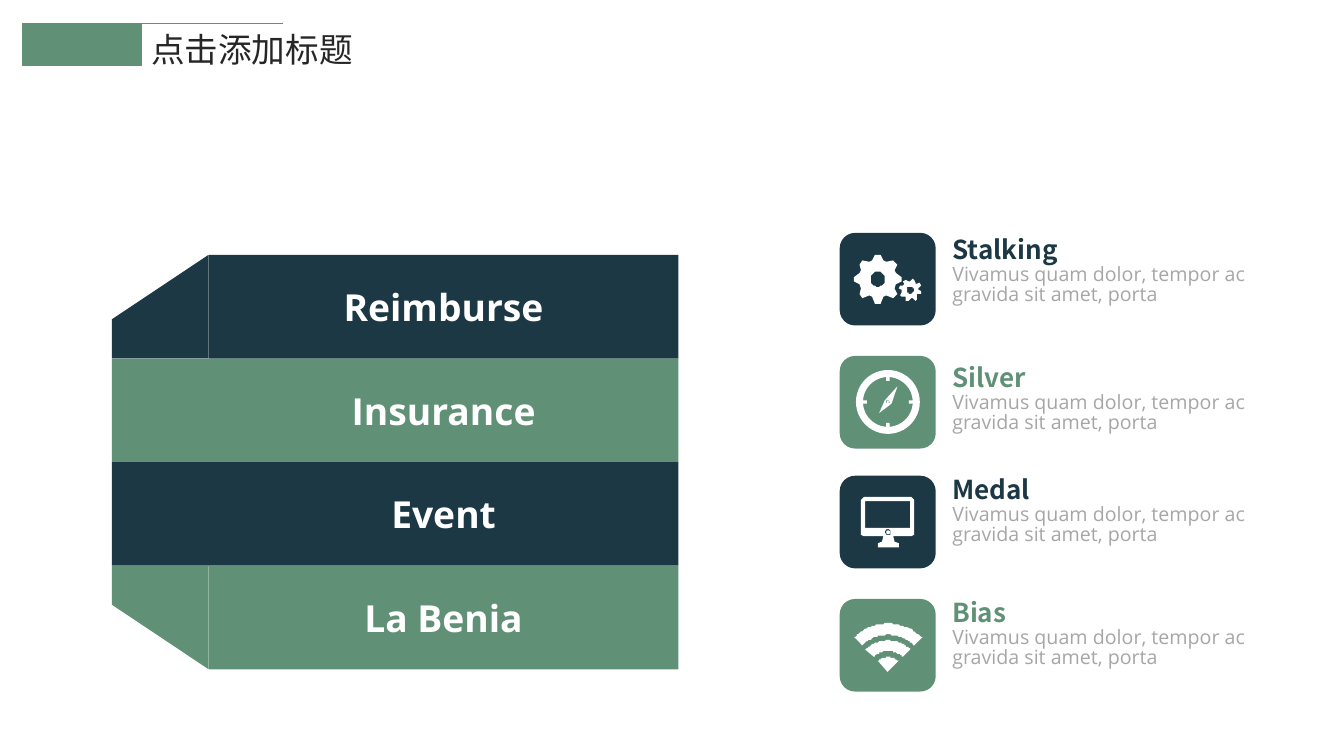
from math import cos, radians, sin

from lxml import etree
from pptx import Presentation
from pptx.dml.color import RGBColor
from pptx.enum.shapes import MSO_CONNECTOR, MSO_SHAPE as SHAPE
from pptx.enum.text import MSO_ANCHOR, PP_ALIGN
from pptx.oxml.ns import qn
from pptx.util import Pt

NAVY = RGBColor(0x1C, 0x38, 0x44)
GREEN = RGBColor(0x60, 0x91, 0x77)
GREY = RGBColor(0xA6, 0xA6, 0xA6)
DARK = RGBColor(0x26, 0x26, 0x26)
WHITE = RGBColor(0xFF, 0xFF, 0xFF)
HEAD_FONT, BODY_FONT = "Noto Sans CJK SC", "Open Sans"

deck = Presentation()
deck.slide_width, deck.slide_height = Pt(960), Pt(540)
slide = deck.slides.add_slide(deck.slide_layouts[6])
shapes = slide.shapes


def arc(x, y, radius, start=0, end=360, steps=48):
    """Points along an arc, angles in degrees clockwise from the right."""
    angles = [radians(start + (end - start) * i / steps) for i in range(steps + 1)]
    return [(x + radius * cos(a), y + radius * sin(a)) for a in angles]


def paint(shape, color):
    shape.shadow.inherit = False
    shape.fill.solid()
    shape.fill.fore_color.rgb = color
    shape.line.fill.background()
    return shape


# Title
title_bar = paint(shapes.add_shape(SHAPE.RECTANGLE, Pt(16.2), Pt(17), Pt(85), Pt(30)), GREEN)
title_bar.line.color.rgb = GREEN
title_bar.line.width = Pt(1)
title_rule = shapes.add_connector(MSO_CONNECTOR.STRAIGHT, Pt(16), Pt(17), Pt(202.3), Pt(17))
title_rule.line.color.rgb = GREEN
title_rule.line.width = Pt(0.5)
etree.SubElement(title_rule._element.spPr, qn("a:effectLst"))
title = shapes.add_textbox(Pt(100.8), Pt(17.3), Pt(171.4), Pt(36)).text_frame
title.word_wrap = True
run = title.paragraphs[0].add_run()
run.text = "点击添加标题"
run.font.size = Pt(24)
run.font.name = HEAD_FONT
run.font.color.rgb = DARK
etree.SubElement(run._r.get_or_add_rPr(), qn("a:ea")).set("typeface", HEAD_FONT)

# Stacked bands with their folded left side
SIDE, FRONT, TOP, BAND = 80, 149.2, 182.1, 74
BOTTOM = TOP + 4 * BAND
outlines = [
    (NAVY, [[(SIDE, 227.5), (FRONT, TOP), (FRONT, TOP + BAND), (SIDE, TOP + BAND)]]),
    (GREEN, [[(SIDE, 432), (FRONT, BOTTOM), (FRONT, BOTTOM - BAND), (SIDE, BOTTOM - BAND)]]),
]
for row, label in enumerate(["Reimburse", "Insurance", "Event", "La Benia"]):
    color = (NAVY, GREEN)[row % 2]
    top = Pt(TOP + row * BAND)
    if row in (1, 2):
        paint(shapes.add_shape(SHAPE.RECTANGLE, Pt(SIDE), top, Pt(FRONT - SIDE), Pt(BAND)), color)
    band = paint(shapes.add_shape(SHAPE.RECTANGLE, Pt(FRONT), top, Pt(335.5), Pt(BAND)), color)
    band.text_frame.vertical_anchor = MSO_ANCHOR.MIDDLE
    paragraph = band.text_frame.paragraphs[0]
    paragraph.alignment = PP_ALIGN.CENTER
    run = paragraph.add_run()
    run.text = label
    run.font.size = Pt(26.6)
    run.font.name = BODY_FONT
    run.font.bold = True
    run.font.color.rgb = WHITE

# Icon tiles and their descriptions
items = [
    ("Stalking", NAVY, 166.3, 166.3),
    ("Silver", GREEN, 254.2, 257.8),
    ("Medal", NAVY, 339.8, 337.7),
    ("Bias", GREEN, 427.8, 425.5),
]
for heading, color, tile_top, text_top in items:
    paint(shapes.add_shape(SHAPE.ROUNDED_RECTANGLE, Pt(599.8), Pt(tile_top), Pt(68.6), Pt(66.2)), color)
    note = shapes.add_textbox(Pt(673.2), Pt(text_top), Pt(235.4), Pt(64)).text_frame
    note.word_wrap = True
    for paragraph, text, size, font, bold, ink in [
        (note.paragraphs[0], heading, 18.6, HEAD_FONT, True, color),
        (note.add_paragraph(), "Vivamus quam dolor, tempor ac gravida sit amet, porta",
         14, BODY_FONT, False, GREY),
    ]:
        paragraph.line_spacing = 0.87
        run = paragraph.add_run()
        run.text = text
        run.font.size = Pt(size)
        run.font.name = font
        run.font.bold = bold
        run.font.color.rgb = ink

# Gears: eight teeth around a hole
for x, y, tip, root, hole, turn in [(627.1, 199.4, 17.3, 13.5, 5.4, 0),
                                    (650.3, 207.2, 8.2, 6.1, 2.6, 15)]:
    teeth = []
    for tooth in range(8):
        for radius, offset in [(root, -17), (tip, -6), (tip, 6), (root, 17)]:
            teeth += arc(x, y, radius, turn + tooth * 45 + offset, 0, 1)[:1]
    outlines.append((WHITE, [teeth, arc(x, y, hole)]))

# Compass: ring, four ticks, needle and pivot
CX, CY = 634.2, 287.1
ring = paint(shapes.add_shape(SHAPE.DONUT, Pt(CX - 22.8), Pt(CY - 22.8), Pt(45.6), Pt(45.6)), WHITE)
ring.adjustments[0] = 0.11
for dx, dy in [(1, 0), (-1, 0), (0, 1), (0, -1)]:
    width, height = (4, 2.4) if dx else (2.4, 4)
    paint(shapes.add_shape(SHAPE.RECTANGLE, Pt(CX + dx * 17 - width / 2),
                           Pt(CY + dy * 17 - height / 2), Pt(width), Pt(height)), WHITE)
needle = [(627.8, 295.4), (631.6, 286.2), (641.4, 275.8), (636.6, 287.8), (635.8, 289.4)]
outlines.append((WHITE, [needle, arc(CX, CY, 1.4)]))

# Monitor: case and stand, screen and button ring
case = [(617, 355), (651.4, 355), (653, 356.6), (653, 381.6), (651.4, 383.2), (637.9, 383.2),
        (638.6, 386.6), (641.8, 388.3), (641.8, 390.8), (626.6, 390.8), (626.6, 388.3),
        (629.9, 386.6), (630.7, 383.2), (617, 383.2), (615.4, 381.6), (615.4, 356.6)]
screen = [(617.9, 357.7), (650.5, 357.7), (650.5, 377.2), (617.9, 377.2)]
outlines.append((WHITE, [case, screen, arc(634.4, 380.2, 2.1)]))

# Pivot of the compass and button of the monitor
for x, y, radius in [(CX, CY, 0.8), (634.4, 380.2, 1.4)]:
    paint(shapes.add_shape(SHAPE.OVAL, Pt(x - radius), Pt(y - radius),
                           Pt(2 * radius), Pt(2 * radius)), WHITE)

# Wireless signal: concentric quarter rings
for outer, inner in [(34.4, 26.4), (22.4, 14.8), (10.4, 0)]:
    wave = arc(634.3, 479.8, outer, -135, -45) + arc(634.3, 479.8, inner, -45, -135)
    outlines.append((WHITE, [wave]))

# Free outlines; later contours cut holes in the first
for color, contours in outlines:
    builder = None
    for points in contours:
        points = [(round(x, 2), round(y, 2)) for x, y in points]
        if builder is None:
            builder = shapes.build_freeform(*points[0], scale=Pt(1))
        else:
            builder.move_to(*points[0])
        builder.add_line_segments(points[1:], close=True)
    paint(builder.convert_to_shape(), color)

deck.save("out.pptx")
